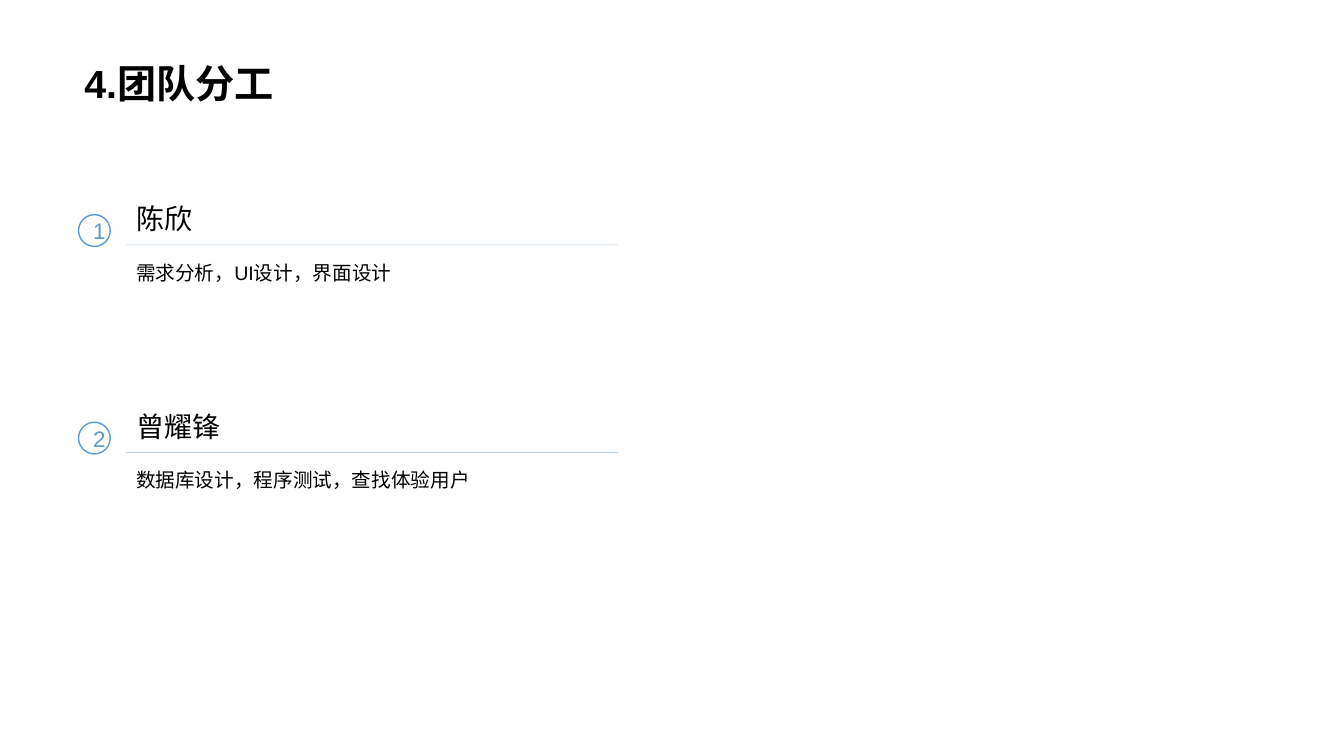
"""Builds the team roles slide."""
from dataclasses import dataclass

from lxml import etree
from pptx import Presentation
from pptx.dml.color import RGBColor
from pptx.enum.shapes import MSO_CONNECTOR, MSO_SHAPE
from pptx.enum.text import MSO_ANCHOR, PP_ALIGN
from pptx.oxml.ns import qn
from pptx.util import Cm, Pt

STRAIGHT = MSO_CONNECTOR.STRAIGHT
OVAL = MSO_SHAPE.OVAL
TOP, MIDDLE = MSO_ANCHOR.TOP, MSO_ANCHOR.MIDDLE
LEFT, CENTER = PP_ALIGN.LEFT, PP_ALIGN.CENTER


@dataclass(frozen=True)
class Theme:
    font: str = "Arial"
    ink: RGBColor = RGBColor(0x00, 0x00, 0x00)
    accent: RGBColor = RGBColor(0x5B, 0x9B, 0xD5)
    title: int = 28
    name: int = 20
    number: int = 16
    duty: int = 14
    rule_width: float = 0.5
    ring_width: float = 1
    rule_opacity: int = 44


class SlideBuilder:
    def __init__(self, slide, theme):
        self.s = slide
        self.theme = theme

    def set_text(self, sp, text, size, color, anchor=TOP, align=LEFT,
                 spacing=None, bold=False, insets=(0.25, 0.13, 0.25, 0.13)):
        tf = sp.text_frame
        tf.word_wrap = True
        tf.vertical_anchor = anchor
        tf.margin_left, tf.margin_top, tf.margin_right, tf.margin_bottom = map(Cm, insets)
        p = tf.paragraphs[0]
        p.text = text
        p.alignment = align
        p.line_spacing = spacing
        p.font.name = self.theme.font
        p.font.size = Pt(size)
        p.font.bold = bold
        p.font.color.rgb = color

    def text(self, x, y, w, h, text, size, **style):
        sp = self.s.shapes.add_textbox(Cm(x), Cm(y), Cm(w), Cm(h))
        self.set_text(sp, text, size, self.theme.ink, **style)

    def ring(self, x, y, d, text):
        sp = self.s.shapes.add_shape(OVAL, Cm(x), Cm(y), Cm(d), Cm(d))
        sp.shadow.inherit = False
        sp.fill.background()
        sp.line.color.rgb = self.theme.accent
        sp.line.width = Pt(self.theme.ring_width)
        self.set_text(sp, text, self.theme.number, self.theme.accent,
                      anchor=MIDDLE, align=CENTER)

    def rule(self, x, y, w):
        ln = self.s.shapes.add_connector(STRAIGHT, Cm(x), Cm(y), Cm(x + w), Cm(y))
        ln.line.color.rgb = self.theme.accent
        ln.line.width = Pt(self.theme.rule_width)
        sp_pr = ln._element.spPr
        color = sp_pr.find(".//" + qn("a:srgbClr"))
        alpha = etree.SubElement(color, qn("a:alpha"))
        alpha.set("val", str(self.theme.rule_opacity * 1000))
        etree.SubElement(sp_pr, qn("a:effectLst"))

    def member(self, y, number, name, duty):
        x, w = 3.18, 12.4
        self.rule(x, y + 1.22, w)
        self.text(x, y, w, 1.2, name, self.theme.name)
        self.text(x, y + 1.37, w, 2.49, duty, self.theme.duty, spacing=1.2)
        self.ring(1.98, y + 0.46, 0.8, str(number))


MEMBERS = [
    ("陈欣", "需求分析，UI设计，界面设计"),
    ("曾耀锋", "数据库设计，程序测试，查找体验用户"),
]
FIRST_TOP, PITCH = 4.95, 5.23


def main():
    prs = Presentation()
    prs.slide_width, prs.slide_height = Cm(33.88), Cm(19.05)
    theme = Theme()
    builder = SlideBuilder(prs.slides.add_slide(prs.slide_layouts[6]), theme)
    for i, (name, duty) in enumerate(MEMBERS):
        builder.member(FIRST_TOP + i * PITCH, i + 1, name, duty)
    builder.text(1.85, 1.19, 30.15, 1.8, "4.团队分工", theme.title, bold=True,
                 anchor=MIDDLE, insets=(0.28, 0.1, 0.2, 0.1))
    prs.save("out.pptx")


if __name__ == "__main__":
    main()
